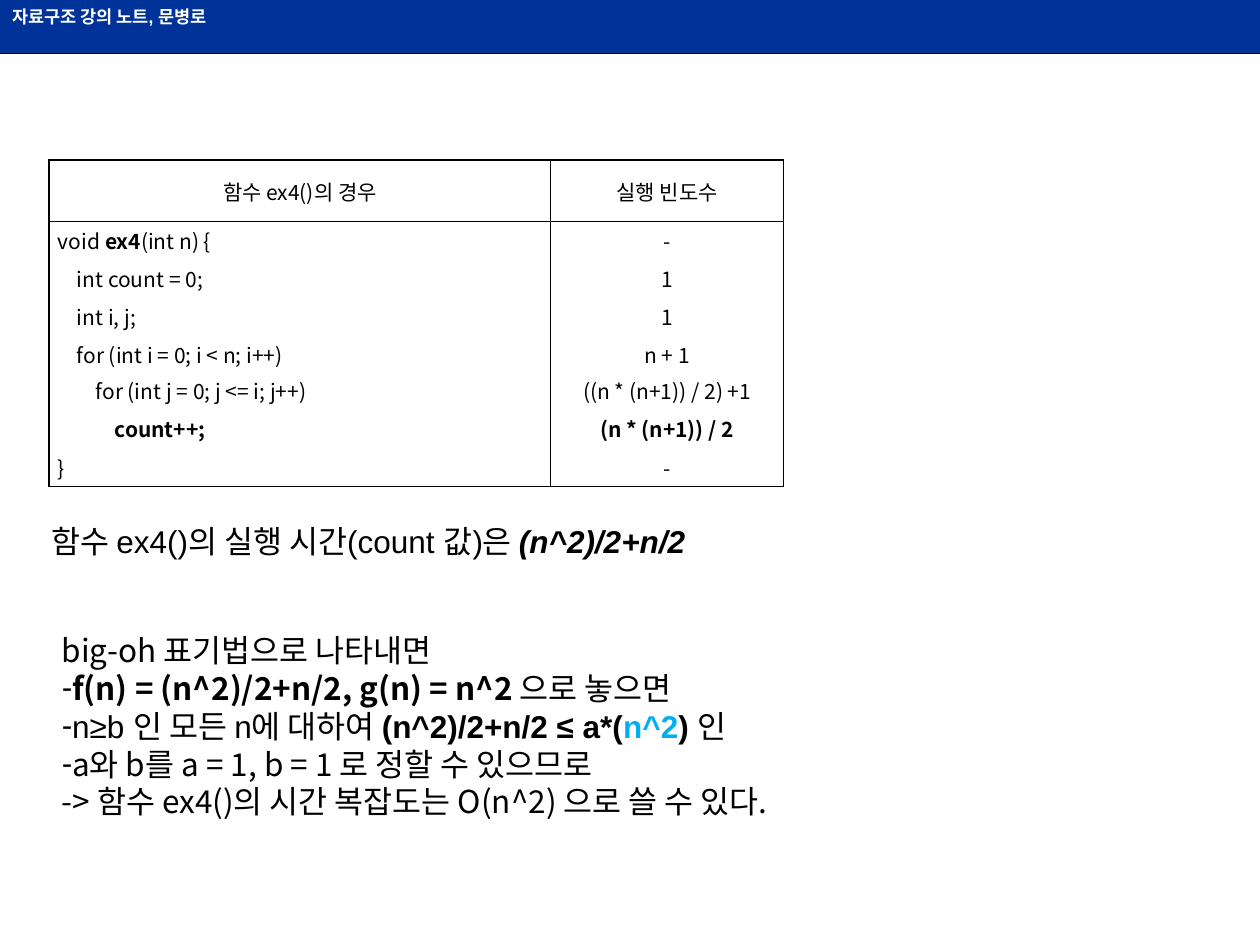
"""Build a lecture slide on the running time of ex4()."""
from lxml.etree import SubElement
from pptx import Presentation
from pptx.dml.color import RGBColor
from pptx.enum.shapes import MSO_CONNECTOR, MSO_SHAPE
from pptx.enum.text import MSO_ANCHOR, MSO_AUTO_SIZE, PP_ALIGN
from pptx.oxml.ns import qn
from pptx.util import Inches, Pt

COLORS = {"ink": "000000", "paper": "FFFFFF", "band": "003399", "accent": "00B0F0"}
SANS, KOREAN = "Arial", "Noto Sans CJK KR"
HARD_SPACE = "\u00a0"


class LectureSlide:
    def __init__(self, deck):
        self.slide = deck.slides.add_slide(deck.slide_layouts[1])
        title = self.slide.shapes.title
        title.element.getparent().remove(title.element)

    def color(self, name):
        return RGBColor.from_string(COLORS[name])

    def add_spans(self, para, spans, size, font):
        """Add spans of (text, style), where _ stands for a hard space."""
        for text, style in spans:
            span = para.add_run()
            span.text = text.replace("_", HARD_SPACE)
            span.font.size = Pt(size)
            span.font.name = style.get("font", font)
            span.font.bold = style.get("bold", False)
            span.font.italic = style.get("italic", False)
            span.font.color.rgb = self.color(style.get("color", "ink"))
            SubElement(span.font._element, qn("a:ea"), typeface=KOREAN)

    def band(self, height, spans):
        band = self.slide.shapes.add_shape(MSO_SHAPE.RECTANGLE, 0, 0, Inches(10), Inches(height))
        band.shadow.inherit = False
        band.fill.solid()
        band.fill.fore_color.rgb = self.color("band")
        band.line.fill.background()
        band.text_frame.vertical_anchor = MSO_ANCHOR.TOP
        para = band.text_frame.paragraphs[0]
        para.alignment = PP_ALIGN.LEFT
        self.add_spans(para, spans, 10, SANS)

    def rule(self, top):
        rule = self.slide.shapes.add_connector(
            MSO_CONNECTOR.STRAIGHT, 0, Inches(top), Inches(10), Inches(top))
        rule.line.color.rgb = self.color("ink")
        rule.line.width = Pt(1.5)
        SubElement(rule._element.spPr, qn("a:effectLst"))

    def text(self, left, top, width, height, spans):
        box = self.slide.shapes.add_textbox(Inches(left), Inches(top), Inches(width), Inches(height))
        box.text_frame.word_wrap = True
        self.add_spans(box.text_frame.paragraphs[0], spans, 18, SANS)

    def body(self, left, top, width, height, items):
        body = self.slide.placeholders[1]
        body.left, body.top = Inches(left), Inches(top)
        body.width, body.height = Inches(width), Inches(height)
        frame = body.text_frame
        frame.auto_size = MSO_AUTO_SIZE.NONE
        for index, (bullet, spans) in enumerate(items):
            para = frame.add_paragraph() if index else frame.paragraphs[0]
            para.space_before = Pt(0)
            properties = para._p.get_or_add_pPr()
            properties.set("marL", "0")
            properties.set("indent", "0")
            if bullet:
                SubElement(properties, qn("a:buChar"), char=bullet)
            else:
                SubElement(properties, qn("a:buNone"))
            self.add_spans(para, spans, 18, KOREAN)

    def border(self, cell, sides):
        for side in "LRTB":
            line = SubElement(cell._tc.get_or_add_tcPr(), qn("a:ln" + side), w=str(Pt(1)))
            if side in sides:
                fill = SubElement(line, qn("a:solidFill"))
                SubElement(fill, qn("a:srgbClr"), val=COLORS["ink"])
            else:
                SubElement(line, qn("a:noFill"))

    def table(self, left, top, widths, heights, rows):
        frame = self.slide.shapes.add_table(
            len(rows), len(widths), Inches(left), Inches(top),
            Inches(sum(widths)), Inches(sum(heights)))
        table = frame.table
        for column, width in zip(table.columns, widths):
            column.width = Inches(width)
        for row, height in zip(table.rows, heights):
            row.height = Inches(height)
        last = len(rows) - 1
        for index, (level, code, count) in enumerate(rows):
            sides = "LR" + ("T" if index < 2 else "") + ("B" if index in (0, last) else "")
            for column, spans in enumerate((code, count)):
                cell = table.cell(index, column)
                cell.margin_left = cell.margin_right = Inches(0.07)
                cell.margin_top = cell.margin_bottom = Inches(0.02)
                cell.vertical_anchor = MSO_ANCHOR.MIDDLE
                self.border(cell, sides)
                cell.fill.solid()
                cell.fill.fore_color.rgb = self.color("paper")
                para = cell.text_frame.paragraphs[0]
                if column or not index:
                    para.alignment = PP_ALIGN.CENTER
                elif level:
                    para._p.get_or_add_pPr().set("marL", str(Inches(0.15 * level)))
                self.add_spans(para, spans, 12, KOREAN)


PLAIN, BOLD = {}, {"bold": True}
SANS_PLAIN, SANS_BOLD = {"font": SANS}, {"font": SANS, "bold": True}

CODE_ROWS = [
    (0, [("함수_ex4()의_경우", PLAIN)], [("실행_빈도수", PLAIN)]),
    (0, [("void_", PLAIN), ("ex4", BOLD), ("(int n) {", PLAIN)], [("-", PLAIN)]),
    (1, [("int count = 0;", PLAIN)], [("1", PLAIN)]),
    (1, [("int i, j;", PLAIN)], [("1", PLAIN)]),
    (1, [("for (int i = 0; i < n; i++)", PLAIN)], [("n + 1", PLAIN)]),
    (2, [("for (int j = 0; j <= i; j++)", PLAIN)], [("((n * (n+1)) / 2) +1", PLAIN)]),
    (3, [("count++;", BOLD)], [("(n * (n+1)) / 2", BOLD)]),
    (0, [("}", PLAIN)], [("-", PLAIN)]),
]

BIG_OH_STEPS = [
    (None, [("big-oh_표기법으로_나타내면", PLAIN)]),
    ("-", [("f(n) = (n^2)/2+n/2, g(n) = n^2_", BOLD), ("으로_놓으면", PLAIN)]),
    ("-", [("n≥b_인_모든_n에_대하여_", SANS_PLAIN), ("(n^2)/2+n/2_≤_a*(", SANS_BOLD),
           ("n^2", {**SANS_BOLD, "color": "accent"}), (")_", SANS_BOLD), ("인", SANS_PLAIN)]),
    ("-", [("a와_b를 a = 1, b = 1_로_정할_수_있으므로", PLAIN)]),
    (None, [("-> 함수_ex4()의_시간_복잡도는_O(n^2)_으로_쓸_수_있다.", PLAIN)]),
]

deck = Presentation()
deck.slide_width, deck.slide_height = Inches(10), Inches(7.5)
page = LectureSlide(deck)
page.rule(0.42)
page.band(0.42, [("자료구조 강의 노트, 문병로", {"bold": True, "color": "paper"})])
page.text(0.31, 4.09, 9.39, 0.4, [
    ("함수_ex4()의_실행_시간(count_값)은_", PLAIN),
    ("(n^2)/2+n/2", {"bold": True, "italic": True}),
])
page.body(0.39, 4.96, 9.6, 1.61, BIG_OH_STEPS)
page.table(0.39, 1.27, [3.98, 1.85], [0.49] + [0.3] * 4 + [0.28, 0.32, 0.3], CODE_ROWS)
deck.save("out.pptx")
